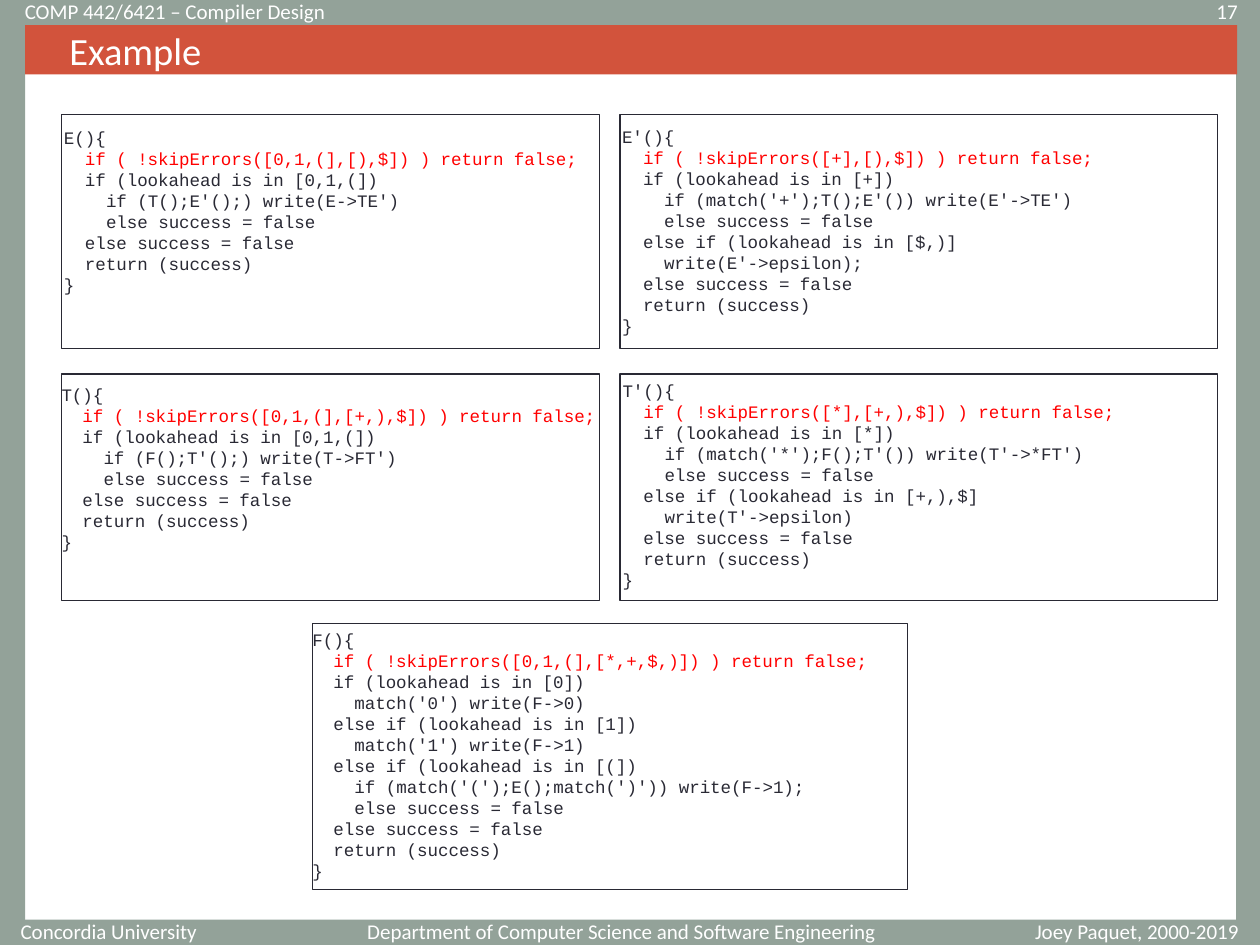
"""Build the slide of recursive descent parsing functions with error recovery."""
from pptx import Presentation
from pptx import util as u
from pptx.dml.color import RGBColor
from pptx.enum import shapes, text

COLOURS = {"sage": "93A299", "brick": "D2533C", "white": "FFFFFF",
           "ink": "292934", "recovery": "FF0000"}
BODY_FONT, CODE_FONT = "Calibri", "Courier New"
CHAR_WIDTH, LINE_HEIGHT = 0.2117, 0.425
INSETS = {"width": 0.51, "height": 0.25}
FAILURE = "else success = false"


def write(paragraph, words, *, font=BODY_FONT, size=12, colour="white",
          align=text.PP_ALIGN.LEFT, indent=0):
    paragraph.alignment = align
    if indent:
        properties = paragraph._p.get_or_add_pPr()
        properties.set("marL", str(u.Cm(indent)))
        properties.set("indent", "0")
    run = paragraph.add_run()
    run.text = words
    run.font.name = font
    run.font.size = u.Pt(size)
    run.font.color.rgb = RGBColor.from_string(COLOURS[colour])


class ParserSlide:
    """Holds the style and the current slide."""

    def __init__(self, deck):
        self.slide = deck.slides.add_slide(deck.slide_layouts[6])

    def rectangle(self, box, fill=None, line=None, parent=None):
        rectangle = (parent or self.slide).shapes.add_shape(
            shapes.MSO_SHAPE.RECTANGLE, *map(u.Cm, box))
        rectangle.shadow.inherit = False
        if fill:
            rectangle.fill.solid()
            rectangle.fill.fore_color.rgb = RGBColor.from_string(COLOURS[fill])
        else:
            rectangle.fill.background()
        if line:
            rectangle.line.color.rgb = RGBColor.from_string(COLOURS[line])
            rectangle.line.width = u.Pt(0.75)
        else:
            rectangle.line.fill.background()
        return rectangle

    def title(self, box, words):
        frame = self.rectangle(box, fill="brick").text_frame
        frame.vertical_anchor = text.MSO_ANCHOR.MIDDLE
        write(frame.paragraphs[0], words, size=22, indent=0.64)

    def label(self, box, words, align=text.PP_ALIGN.LEFT):
        frame = self.slide.shapes.add_textbox(*map(u.Cm, box)).text_frame
        frame.word_wrap = True
        frame.vertical_anchor = text.MSO_ANCHOR.MIDDLE
        write(frame.paragraphs[0], words, align=align)

    def procedure(self, border, corner, name, skip, body):
        recovery = f"  if ( !skipErrors({skip}) ) return false;"
        lines = [f"{name}(){{", recovery, *body,
                 f"  {FAILURE}", "  return (success)", "}"]
        width = max(map(len, lines)) * CHAR_WIDTH + INSETS["width"]
        height = len(lines) * LINE_HEIGHT + INSETS["height"]
        group = self.slide.shapes.add_group_shape()
        code = group.shapes.add_textbox(
            *map(u.Cm, (*corner, width, height))).text_frame
        code.word_wrap = False
        code.auto_size = text.MSO_AUTO_SIZE.SHAPE_TO_FIT_TEXT
        for number, line in enumerate(lines):
            paragraph = code.add_paragraph() if number else code.paragraphs[0]
            words = line.lstrip()
            write(paragraph, words, font=CODE_FONT, size=10,
                  colour="recovery" if line == recovery else "ink",
                  indent=(len(line) - len(words)) * CHAR_WIDTH)
        self.rectangle(border, line="ink", parent=group)


def main():
    deck = Presentation()
    deck.slide_width, deck.slide_height = u.Cm(25.4), u.Cm(19.05)
    page = ParserSlide(deck)

    for edge in ((0, 0, 25.4, 0.51), (0, 18.54, 25.4, 0.51),
                 (0, 0, 0.51, 18.9), (24.92, 0.46, 0.48, 18.59)):
        page.rectangle(edge, fill="sage")
    right, center = text.PP_ALIGN.RIGHT, text.PP_ALIGN.CENTER
    page.label((0.08, 18.62, 4.14, 0.3), "Concordia University", right)
    page.label((7.11, 18.62, 10.8, 0.3),
               "Department of Computer Science and Software Engineering", right)
    page.title((0.51, 0.51, 24.43, 0.99), "Example")
    page.label((22.23, 0.08, 2.97, 0.3), "17", right)
    page.label((0.25, 0.08, 14.22, 0.3), "COMP 442/6421 – Compiler Design")

    left_column, right_column = (1.24, 10.85), (12.5, 12.04)
    top_row, middle_row = (2.31, 4.72), (7.54, 4.57)

    def cell(column, row):
        return column[0], row[0], column[1], row[1]

    page.procedure(cell(left_column, top_row), (1.04, 2.44),
                   "E", "[0,1,(],[),$]", [
                       "  if (lookahead is in [0,1,(])",
                       "    if (T();E'();) write(E->TE')",
                       f"    {FAILURE}"])
    page.procedure(cell(right_column, top_row), (12.29, 2.41),
                   "E'", "[+],[),$]", [
                       "  if (lookahead is in [+])",
                       "    if (match('+');T();E'()) write(E'->TE')",
                       f"    {FAILURE}",
                       "  else if (lookahead is in [$,)]",
                       "    write(E'->epsilon);"])
    page.procedure(cell(left_column, middle_row), (0.99, 7.62),
                   "T", "[0,1,(],[+,),$]", [
                       "  if (lookahead is in [0,1,(])",
                       "    if (F();T'();) write(T->FT')",
                       f"    {FAILURE}"])
    page.procedure(cell(right_column, middle_row), (12.3, 7.54),
                   "T'", "[*],[+,),$]", [
                       "  if (lookahead is in [*])",
                       "    if (match('*');F();T'()) write(T'->*FT')",
                       f"    {FAILURE}",
                       "  else if (lookahead is in [+,),$]",
                       "    write(T'->epsilon)"])
    page.procedure((6.3, 12.57, 11.99, 5.36), (6.05, 12.55),
                   "F", "[0,1,(],[*,+,$,)]", [
                       "  if (lookahead is in [0])",
                       "    match('0') write(F->0)",
                       "  else if (lookahead is in [1])",
                       "    match('1') write(F->1)",
                       "  else if (lookahead is in [(])",
                       "    if (match('(');E();match(')')) write(F->1);",
                       f"    {FAILURE}"])
    page.label((20.29, 18.62, 5.26, 0.3), "Joey Paquet, 2000-2019", center)
    deck.save("out.pptx")


if __name__ == "__main__":
    main()
